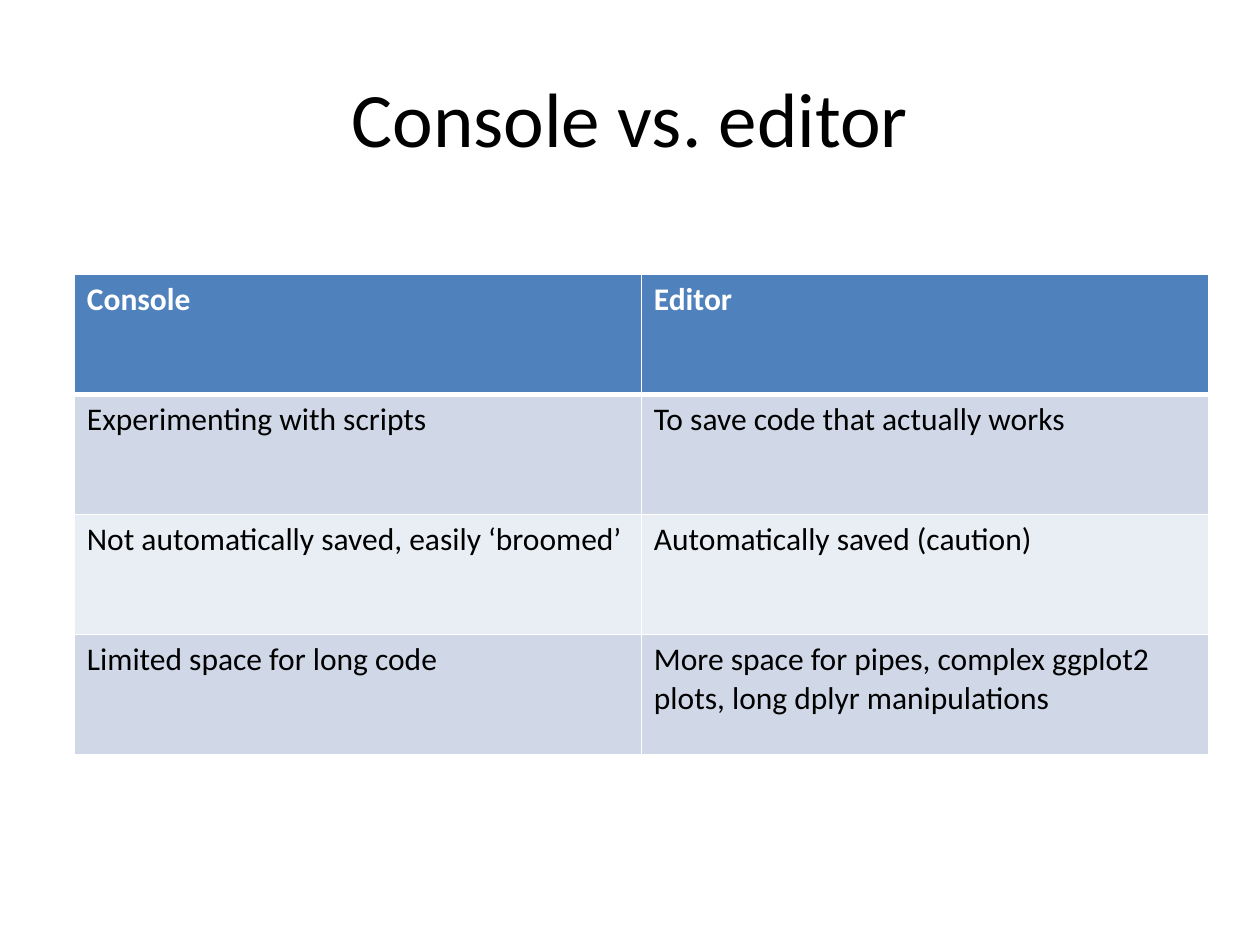
from lxml import etree
from pptx import Presentation
from pptx.dml.color import RGBColor
from pptx.enum.text import MSO_ANCHOR, PP_ALIGN
from pptx.oxml.ns import qn
from pptx.util import Inches, Pt

MIDDLE = MSO_ANCHOR.MIDDLE
CENTER = PP_ALIGN.CENTER
TITLE_ONLY = 5
FONT = "Calibri"
HEADER_FILL = "4F81BD"
BAND_FILLS = ("E9EDF4", "D0D8E8")
WHITE, BLACK = "FFFFFF", "000000"
ROWS = [
    ("Console", "Editor"),
    ("Experimenting with scripts", "To save code that actually works"),
    ("Not automatically saved, easily ‘broomed’", "Automatically saved (caution)"),
    ("Limited space for long code",
     "More space for pipes, complex ggplot2 plots, long dplyr manipulations"),
]


def color(value):
    """Turn a hex string into a colour."""
    return RGBColor.from_string(value)


def add_text(paragraph, text, size, text_color, bold=False):
    """Add one formatted run to a paragraph."""
    run = paragraph.add_run()
    run.text = text
    run.font.name = FONT
    run.font.size = Pt(size)
    run.font.bold = bold
    run.font.color.rgb = color(text_color)


def set_border(cell, side, width):
    """Draw a white border on one side of a cell."""
    properties = cell._tc.get_or_add_tcPr()
    line = etree.SubElement(properties, qn(f"a:ln{side}"), w=str(Pt(width)))
    fill = etree.SubElement(line, qn("a:solidFill"))
    etree.SubElement(fill, qn("a:srgbClr"), val=WHITE)


def place_title(slide, text, left, top, width, height):
    """Place and format the title placeholder."""
    title = slide.shapes.title
    title.left, title.top, title.width, title.height = left, top, width, height
    title.text_frame.vertical_anchor = MIDDLE
    paragraph = title.text_frame.paragraphs[0]
    paragraph.alignment = CENTER
    add_text(paragraph, text, 44, BLACK)


def add_comparison(slide, rows, left, top, width, height):
    """Add the banded table with a header row."""
    shape = slide.shapes.add_table(len(rows), len(rows[0]), left, top, width, height)
    for row_index, texts in enumerate(rows):
        is_header = row_index == 0
        fill = HEADER_FILL if is_header else BAND_FILLS[row_index % 2]
        for column_index, text in enumerate(texts):
            cell = shape.table.cell(row_index, column_index)
            for side in "LRT":
                set_border(cell, side, 3 if side == "T" and row_index == 1 else 1)
            set_border(cell, "B", 3 if is_header else 1)
            cell.fill.solid()
            cell.fill.fore_color.rgb = color(fill)
            add_text(cell.text_frame.paragraphs[0], text, 18,
                     WHITE if is_header else BLACK, is_header)


def main():
    """Build and save the slide."""
    presentation = Presentation()
    presentation.slide_width, presentation.slide_height = Inches(10), Inches(7.5)
    slide = presentation.slides.add_slide(presentation.slide_layouts[TITLE_ONLY])
    place_title(slide, "Console vs. editor",
                Inches(0.5), Inches(0.3), Inches(9), Inches(1.25))
    add_comparison(slide, ROWS, Inches(0.59), Inches(2.18), Inches(9), Inches(3.81))
    presentation.save("out.pptx")


if __name__ == "__main__":
    main()
